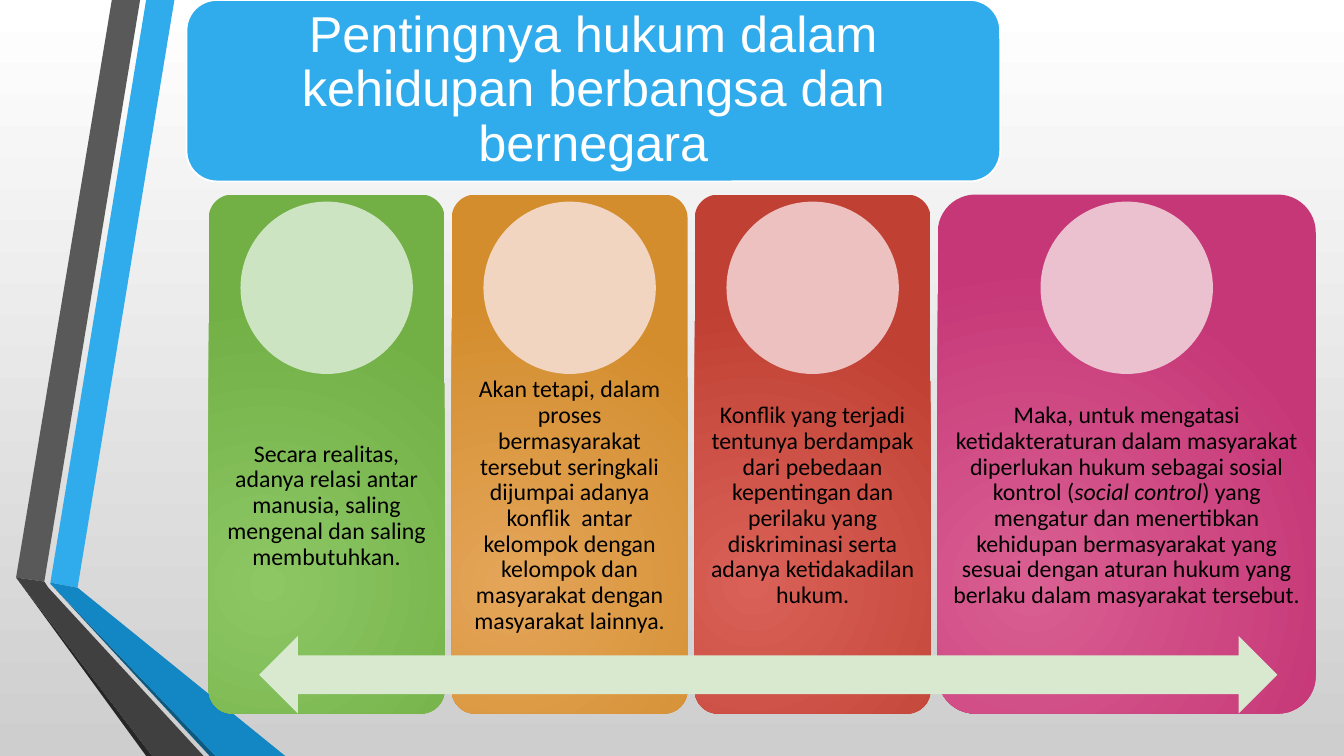
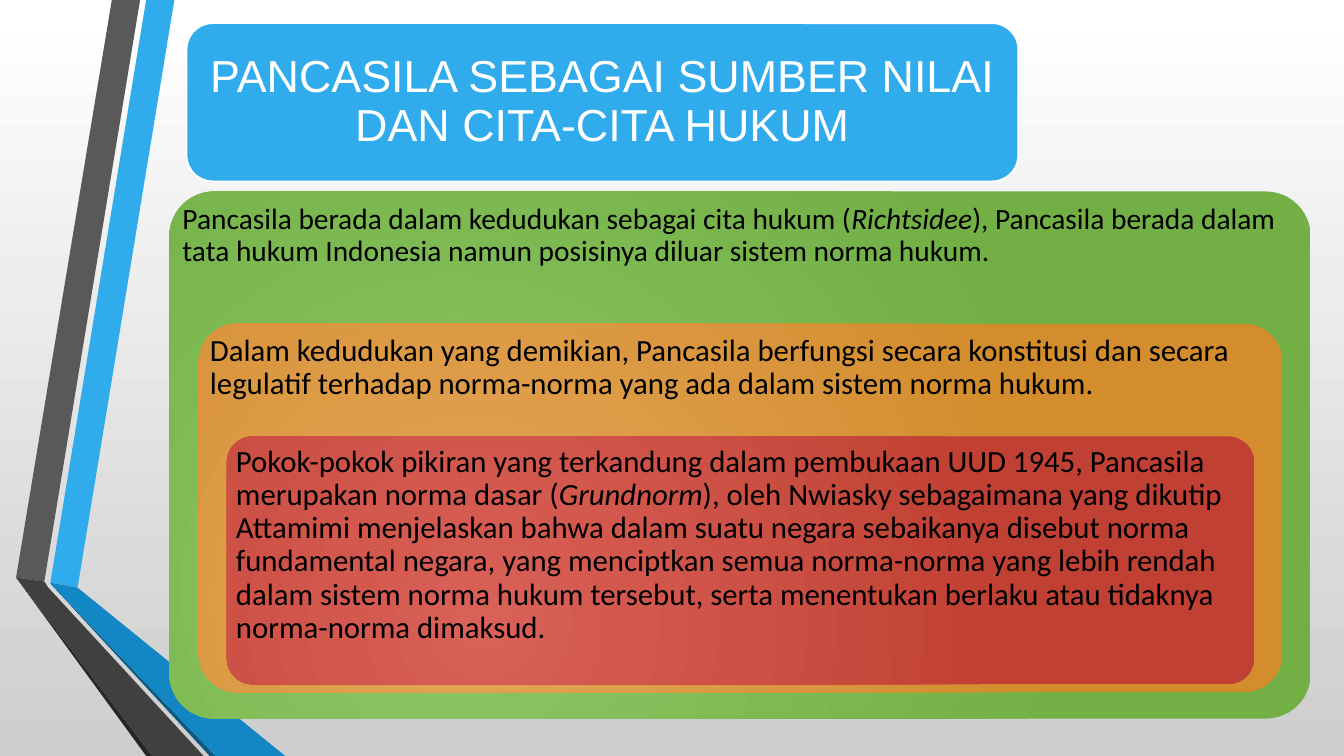
from lxml import etree
from pptx import Presentation
from pptx.dml.color import RGBColor
from pptx.enum.shapes import MSO_SHAPE
from pptx.enum.text import MSO_ANCHOR, PP_ALIGN
from pptx.oxml.ns import qn
from pptx.util import Inches, Pt

ROUNDED = MSO_SHAPE.ROUNDED_RECTANGLE
OVAL = MSO_SHAPE.OVAL
DOUBLE_ARROW = MSO_SHAPE.LEFT_RIGHT_ARROW
TOP, MIDDLE = MSO_ANCHOR.TOP, MSO_ANCHOR.MIDDLE
LEFT, CENTER = PP_ALIGN.LEFT, PP_ALIGN.CENTER

WHITE = RGBColor(0xFF, 0xFF, 0xFF)
BLACK = RGBColor(0x00, 0x00, 0x00)
SILVER = RGBColor(0xCE, 0xCE, 0xCE)
BLUE = RGBColor(0x30, 0xAC, 0xEC)
MID_BLUE = RGBColor(0x12, 0x87, 0xC3)
DARK_BLUE = RGBColor(0x0C, 0x5A, 0x82)
GRAY = RGBColor(0x59, 0x59, 0x59)
DARK_GRAY = RGBColor(0x40, 0x40, 0x40)
CHARCOAL = RGBColor(0x26, 0x26, 0x26)
PALE_GREEN = RGBColor(0xCD, 0xE4, 0xC2)
PALE_ORANGE = RGBColor(0xF1, 0xD5, 0xC0)
PALE_RED = RGBColor(0xEC, 0xC1, 0xBF)
PALE_PINK = RGBColor(0xEC, 0xC1, 0xCF)
ARROW_GREEN = RGBColor(0xD8, 0xE9, 0xD0)

# Glow colour, edge colour
GREEN = (RGBColor(0x8C, 0xC7, 0x64), RGBColor(0x72, 0xAF, 0x45))
ORANGE = (RGBColor(0xE4, 0xA5, 0x59), RGBColor(0xD3, 0x8D, 0x2D))
RED = (RGBColor(0xD9, 0x61, 0x57), RGBColor(0xC0, 0x40, 0x33))
PINK = (RGBColor(0xD9, 0x5F, 0x92), RGBColor(0xC6, 0x37, 0x77))

TITLE_FONT, BODY_FONT = "Arial", "Calibri"
TITLE_LEFT, TITLE_BOTTOM = 1.85, 1.8
CORNER_INSET = 0.29  # share of the corner radius that the text area loses

BANDS = [
    (BLUE, [(0.5, 5.78), (0.77, 5.83), (1.73, 0), (1.45, 0)]),
    (GRAY, [(1.39, 0), (1.11, 0), (0.16, 5.73), (0.44, 5.77)]),
    (CHARCOAL, [(0.16, 5.73), (1.45, 7.5), (1.51, 7.5)]),
    (DARK_BLUE, [(0.5, 5.79), (2.08, 7.5), (2.14, 7.5)]),
    (MID_BLUE, [(0.5, 5.79), (2.14, 7.5), (2.83, 7.5), (0.77, 5.83), (0.5, 5.78)]),
    (DARK_GRAY, [(2.02, 7.5), (0.48, 5.83), (0.44, 5.77), (0.16, 5.73), (1.51, 7.5)]),
]

# Width, colours, circle colour, text; asterisks enclose italics
CARD_LEFT, CARD_TOP, CARD_HEIGHT, CARD_GAP = 2.07, 1.93, 5.15, 0.07
CIRCLE_TOP, CIRCLE_SIZE = 2, 1.71
CARDS = [
    (2.34, GREEN, PALE_GREEN,
     "Secara realitas, adanya relasi antar manusia, saling mengenal dan saling "
     "membutuhkan."),
    (2.34, ORANGE, PALE_ORANGE,
     "Akan tetapi, dalam proses bermasyarakat tersebut seringkali dijumpai adanya "
     "konflik  antar kelompok dengan kelompok dan masyarakat dengan masyarakat "
     "lainnya."),
    (2.34, RED, PALE_RED,
     "Konflik yang terjadi tentunya berdampak dari pebedaan kepentingan dan perilaku "
     "yang diskriminasi serta adanya ketidakadilan hukum."),
    (3.75, PINK, PALE_PINK,
     "Maka, untuk mengatasi ketidakteraturan dalam masyarakat diperlukan hukum "
     "sebagai sosial kontrol (*social control*) yang mengatur dan menertibkan "
     "kehidupan bermasyarakat yang sesuai dengan aturan hukum yang berlaku dalam "
     "masyarakat tersebut."),
]

# Left, top, width, height, corner, colours, text size, text
PANELS = [
    (1.68, 1.9, 11.32, 5.23, 0.085, GREEN, 21,
     "Pancasila berada dalam kedudukan sebagai cita hukum (*Richtsidee*), Pancasila "
     "berada dalam tata hukum Indonesia namun posisinya diluar sistem norma hukum."),
    (1.97, 3.21, 10.75, 3.66, 0.105, ORANGE, 22,
     "Dalam kedudukan yang demikian, Pancasila berfungsi secara konstitusi dan secara "
     "legulatif terhadap norma-norma yang ada dalam sistem norma hukum."),
    (2.25, 4.33, 10.19, 2.46, 0.105, RED, 22,
     "Pokok-pokok pikiran yang terkandung dalam pembukaan UUD 1945, Pancasila "
     "merupakan norma dasar (*Grundnorm*), oleh Nwiasky sebagaimana yang dikutip "
     "Attamimi menjelaskan bahwa dalam suatu negara sebaikanya disebut norma "
     "fundamental negara, yang menciptkan semua norma-norma yang lebih rendah dalam "
     "sistem norma hukum tersebut, serta menentukan berlaku atau tidaknya "
     "norma-norma dimaksud."),
]


def set_gradient(fill, colors):
    fill.gradient()
    for stop, color in zip(fill.gradient_stops, colors):
        stop.color.rgb = color


def set_glow(shape, colors):
    """Fill with a circular gradient that starts near the bottom."""
    set_gradient(shape.fill, colors)
    gradient = shape.element.spPr.find(qn("a:gradFill"))
    gradient.remove(gradient.find(qn("a:lin")))
    circle = etree.SubElement(gradient, qn("a:path"), path="circle")
    etree.SubElement(circle, qn("a:fillToRect"),
                     l="50000", t="100000", r="100000", b="50000")


def set_flat(shape, color):
    shape.shadow.inherit = False
    shape.fill.solid()
    shape.fill.fore_color.rgb = color
    shape.line.fill.background()


def add_flat_shape(slide, kind, left, top, width, height, color):
    shape = slide.shapes.add_shape(
        kind, Inches(left), Inches(top), Inches(width), Inches(height))
    set_flat(shape, color)
    return shape


def add_glowing_box(slide, left, top, width, height, corner, colors):
    box = add_flat_shape(slide, ROUNDED, left, top, width, height, colors[1])
    box.adjustments[0] = corner
    set_glow(box, colors)
    return box


def set_text(shape, text, size, margins, font=BODY_FONT, color=BLACK,
             anchor=MIDDLE, alignment=CENTER):
    """Write text with margins (left and right, top, bottom); *...* is italic."""
    frame = shape.text_frame
    frame.word_wrap = True
    frame.vertical_anchor = anchor
    side, top, bottom = (Inches(margin) for margin in margins)
    frame.margin_left = frame.margin_right = side
    frame.margin_top, frame.margin_bottom = top, bottom
    paragraph = frame.paragraphs[0]
    paragraph.alignment = alignment
    paragraph.line_spacing = 0.9
    for index, part in enumerate(text.split("*")):
        run = paragraph.add_run()
        run.text = part
        run.font.name = font
        run.font.size = Pt(size)
        run.font.color.rgb = color
        run.font.italic = index % 2 == 1


def add_title(slide, text, top, width, size):
    title = add_flat_shape(
        slide, ROUNDED, TITLE_LEFT, top, width, TITLE_BOTTOM - top, BLUE)
    title.line.color.rgb = WHITE
    title.line.width = Pt(1.25)
    set_text(title, text, size, (0.06, 0.06, 0.06), TITLE_FONT, WHITE)


def add_card(slide, left, width, colors, circle_color, text):
    corner = 0.1
    card = add_glowing_box(
        slide, left, CARD_TOP, width, CARD_HEIGHT, corner, colors)
    side = 0.13 - CORNER_INSET * corner * width
    set_text(card, text, 17, (side, 1.78, 0.75))
    add_flat_shape(slide, OVAL, left + (width - CIRCLE_SIZE) / 2, CIRCLE_TOP,
                   CIRCLE_SIZE, CIRCLE_SIZE, circle_color)


def add_panel(slide, left, top, width, height, corner, colors, size, text):
    panel = add_glowing_box(slide, left, top, width, height, corner, colors)
    margin = max(0, 0.09 - CORNER_INSET * corner * height)
    set_text(panel, text, size, (margin, margin, margin),
             anchor=TOP, alignment=LEFT)


def add_bands(slide, layout):
    """Draw the folded bands and move them to the layout all slides share."""
    for color, points in BANDS:
        corners = [(Inches(x), Inches(y)) for x, y in points]
        builder = slide.shapes.build_freeform(*corners[0])
        builder.add_line_segments(corners[1:], close=True)
        band = builder.convert_to_shape()
        set_flat(band, color)
        layout.shapes.element.append(band.element)


def add_importance_slide(slide):
    add_title(slide, "Pentingnya hukum dalam kehidupan berbangsa dan bernegara",
              0, 8.07, 36)
    left = CARD_LEFT
    for width, colors, circle_color, text in CARDS:
        add_card(slide, left, width, colors, circle_color, text)
        left += width + CARD_GAP
    add_flat_shape(slide, DOUBLE_ARROW, 2.57, 6.31, 10.1, 0.77, ARROW_GREEN)


def add_pancasila_slide(slide):
    add_title(slide, "PANCASILA SEBAGAI SUMBER NILAI DAN CITA-CITA HUKUM",
              0.23, 8.25, 32)
    for panel in PANELS:
        add_panel(slide, *panel)


def main():
    presentation = Presentation()
    presentation.slide_width = Inches(13.33)
    presentation.slide_height = Inches(7.5)
    background = presentation.slide_master.background.fill
    set_gradient(background, (WHITE, SILVER))
    background.gradient_angle = 270
    blank = presentation.slide_layouts[6]
    importance = presentation.slides.add_slide(blank)
    add_bands(importance, blank)
    add_importance_slide(importance)
    add_pancasila_slide(presentation.slides.add_slide(blank))
    presentation.save("out.pptx")


if __name__ == "__main__":
    main()
